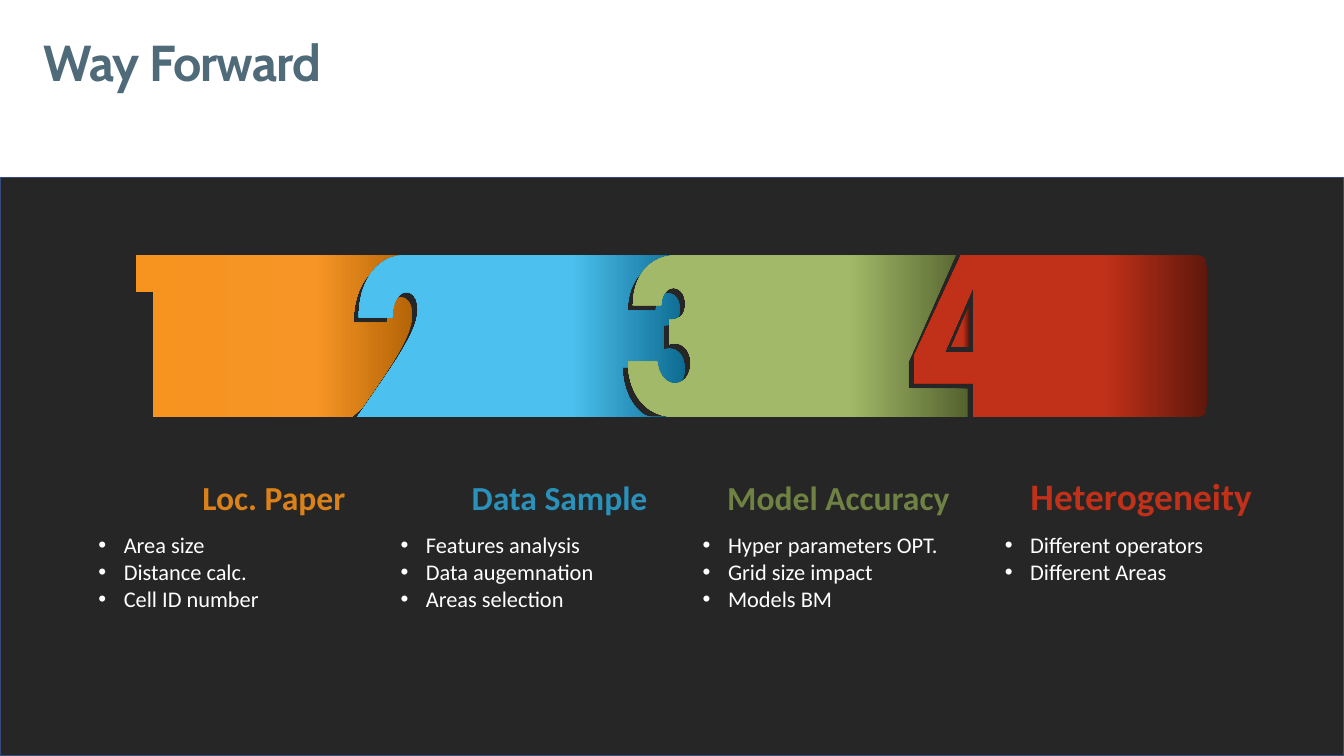
from copy import deepcopy

from lxml import etree
from pptx import Presentation
from pptx.dml.color import RGBColor
from pptx.enum.shapes import MSO_SHAPE
from pptx.enum.text import MSO_ANCHOR, MSO_AUTO_SIZE, PP_ALIGN
from pptx.oxml.ns import qn
from pptx.util import Cm, Pt

RECTANGLE = MSO_SHAPE.RECTANGLE
TOP, BOTTOM = MSO_ANCHOR.TOP, MSO_ANCHOR.BOTTOM
LEFT, RIGHT, JUSTIFY = PP_ALIGN.LEFT, PP_ALIGN.RIGHT, PP_ALIGN.JUSTIFY
NO_AUTOFIT = MSO_AUTO_SIZE.NONE

WHITE = RGBColor.from_string("FFFFFF")
CHARCOAL = RGBColor.from_string("262626")
NAVY = RGBColor.from_string("374B7F")
SLATE = RGBColor.from_string("4F6A79")
AMBER = RGBColor.from_string("DB8119")
AZURE = RGBColor.from_string("2991BA")
OLIVE = RGBColor.from_string("6F8143")
RED = RGBColor.from_string("C13018")
DARK_ORANGE = RGBColor.from_string("B46406")
ORANGE = RGBColor.from_string("F79626")
BRIGHT_ORANGE = RGBColor.from_string("F7931F")
DARK_BLUE = RGBColor.from_string("0D6B91")
BLUE = RGBColor.from_string("4CC1EF")
DARK_GREEN = RGBColor.from_string("54632E")
GREEN = RGBColor.from_string("A2B969")
DARK_RED = RGBColor.from_string("60180C")

TITLE = "Way Forward"
STEPS = [
    ("Loc. Paper", 18, AMBER, 1.8, ["Area size", "Distance calc.", "Cell ID number"]),
    ("Data Sample", 18, AZURE, 1.8, ["Features analysis", "Data augemnation", "Areas selection"]),
    ("Model Accuracy", 18, OLIVE, 2.82, ["Hyper parameters OPT.", "Grid size impact", "Models BM"]),
    ("Heterogeneity", 20, RED, 1.8, ["Different operators", "Different Areas"]),
]

BANNER_TOP, BANNER_BOTTOM, BANNER_RIGHT = 190, 310, 898
CORNER = 14
GAP = 4
ONE_EDGE = [(101, BANNER_TOP), (101, 217), (114, 217), (114, BANNER_BOTTOM)]
TWO_EDGE = [
    (301, BANNER_TOP), (281, 190, 267, 209, 267, 236), (292, 236),
    (292, 212, 311, 212, 311, 230), (311, 246, 296, 267, 266, BANNER_BOTTOM),
]
THREE_EDGE = [
    (503, BANNER_TOP), (485, 190, 471, 204, 471, 227), (492, 227),
    (492, 210, 510, 210, 510, 226), (510, 234, 506, 238, 498, 238), (498, 256),
    (507, 253, 514, 260, 514, 270), (514, 290, 491, 291, 489, 269), (467, 269),
    (468, 294, 481, 310, 502, BANNER_BOTTOM),
]
FOUR_EDGE = [(715, BANNER_TOP), (680, 265), (680, 285), (724, 285), (724, BANNER_BOTTOM)]
FOUR_HOLE = [(724, 262), (703, 262), (724, 214)]
FOUR_INSIDE = [(708, 258), (721, 258), (721, 228)]
ROUNDED_END = [
    (BANNER_RIGHT - CORNER, BANNER_TOP),
    (BANNER_RIGHT,) + (BANNER_TOP, BANNER_RIGHT) * 2 + (BANNER_TOP + CORNER,),
    (BANNER_RIGHT, BANNER_BOTTOM - CORNER),
    (BANNER_RIGHT, BANNER_BOTTOM) * 2 + (BANNER_RIGHT - CORNER, BANNER_BOTTOM),
]
DIGIT_EDGES = [ONE_EDGE, TWO_EDGE, THREE_EDGE, FOUR_EDGE]
DIGIT_COLORS = [
    (DARK_ORANGE, ORANGE, BRIGHT_ORANGE),
    (DARK_BLUE, BLUE, BLUE),
    (DARK_GREEN, GREEN, GREEN),
    (DARK_RED, RED, RED),
]
GRADIENT_POSITIONS = (0, 0.35, 1)
OUTLINE_UNIT = Cm(0.0254)
CURVE_STEPS = 12

COLUMN_LEFT, COLUMN_PITCH, COLUMN_WIDTH = 1.86, 5.71, 4.67
HEADING_HEIGHT, LIST_TOP = 1.12, 9.91


def flatten(edge):
    points = []
    for segment in edge:
        if len(segment) == 2:
            points.append(segment)
            continue
        controls = [points[-1], segment[:2], segment[2:4], segment[4:]]
        for step in range(1, CURVE_STEPS + 1):
            t = step / CURVE_STEPS
            weights = ((1 - t) ** 3, 3 * t * (1 - t) ** 2, 3 * t**2 * (1 - t), t**3)
            points.append(tuple(sum(w * c[axis] for w, c in zip(weights, controls)) for axis in (0, 1)))
    return points


def beside(next_edge):
    return [
        (x - GAP, y if y == BANNER_TOP else min(y + GAP, BANNER_BOTTOM))
        for x, y in flatten(next_edge)
    ]


def add_banner_piece(shapes, contours, colors):
    first, *holes = [[(x * OUTLINE_UNIT, y * OUTLINE_UNIT) for x, y in contour] for contour in contours]
    builder = shapes.build_freeform(*first[0], scale=1.0)
    builder.add_line_segments(first[1:], close=True)
    for hole in holes:
        builder.move_to(*hole[0])
        builder.add_line_segments(hole[1:], close=True)
    piece = builder.convert_to_shape()
    piece.shadow.inherit = False
    piece.line.fill.background()
    piece.fill.gradient()
    piece.fill.gradient_angle = 180
    stop_list = piece._element.spPr.find(qn("a:gradFill")).find(qn("a:gsLst"))
    stop_list.append(deepcopy(stop_list[-1]))
    for stop, position, color in zip(piece.fill.gradient_stops, GRADIENT_POSITIONS, colors):
        stop.position = position
        stop.color.rgb = color


def place(shape, left, top, width, height):
    shape.left, shape.top, shape.width, shape.height = (Cm(v) for v in (left, top, width, height))


def add_bullet(paragraph):
    properties = paragraph._p.get_or_add_pPr()
    properties.set("marL", str(Cm(0.48)))
    properties.set("indent", str(-Cm(0.48)))
    etree.SubElement(properties, qn("a:buFont")).set("typeface", "Arial")
    etree.SubElement(properties, qn("a:buChar")).set("char", "•")


def write(shape, lines, font_name, size, color, bold, align, anchor, side_margin=0, bullets=False):
    frame = shape.text_frame
    frame.text = "\n".join(lines)
    frame.word_wrap = True
    frame.auto_size = NO_AUTOFIT
    frame.vertical_anchor = anchor
    frame.margin_left = frame.margin_right = Cm(side_margin)
    frame.margin_top = frame.margin_bottom = Cm(0.13)
    for paragraph in frame.paragraphs:
        if bullets:
            add_bullet(paragraph)
        paragraph.alignment = align
        paragraph.space_before = Pt(0)
        for run in paragraph.runs:
            run.font.name, run.font.size, run.font.bold = font_name, Pt(size), bold
            run.font.color.rgb = color


presentation = Presentation()
presentation.slide_width, presentation.slide_height = Cm(25.4), Cm(14.28)
slide = presentation.slides.add_slide(presentation.slide_layouts.get_by_name("Comparison"))
shapes = slide.shapes

panel = shapes.add_shape(RECTANGLE, Cm(0), Cm(3.35), Cm(25.4), Cm(10.93))
panel.shadow.inherit = False
panel.fill.solid()
panel.fill.fore_color.rgb = CHARCOAL
panel.line.color.rgb = NAVY
panel.line.width = Pt(0.85)
shapes._spTree.insert(2, panel._element)

title = shapes.title
place(title, 0.58, 0.58, 7.21, 2.06)
write(title, [TITLE], "Cabin", 27, SLATE, True, LEFT, TOP, side_margin=0.25)
title_line = title.text_frame.paragraphs[0]
title_line.line_spacing = 0.9
title_line.runs[0].font._element.set("spc", "-50")

list_bodies = [body for body in slide.placeholders if body.placeholder_format.idx > 0]
for column, (body, step) in enumerate(zip(list_bodies, STEPS)):
    heading, heading_size, color, list_height, items = step
    left = COLUMN_LEFT + column * COLUMN_PITCH
    label = shapes.add_textbox(0, 0, 0, 0)
    place(label, left, LIST_TOP - HEADING_HEIGHT, COLUMN_WIDTH, HEADING_HEIGHT)
    write(label, [heading], "Calibri", heading_size, color, True, RIGHT, BOTTOM)
    place(body, left, LIST_TOP, COLUMN_WIDTH, list_height)
    write(body, items, "Calibri", 12, WHITE, False, JUSTIFY, TOP, bullets=True)

right_edges = [beside(edge) for edge in DIGIT_EDGES[1:]] + [flatten(ROUNDED_END)]
for edge, right_edge, colors in zip(DIGIT_EDGES, right_edges, DIGIT_COLORS):
    contours = [flatten(edge)[::-1] + right_edge]
    if edge is FOUR_EDGE:
        add_banner_piece(shapes, [FOUR_INSIDE], colors)
        contours.append(FOUR_HOLE)
    add_banner_piece(shapes, contours, colors)

presentation.save("out.pptx")
